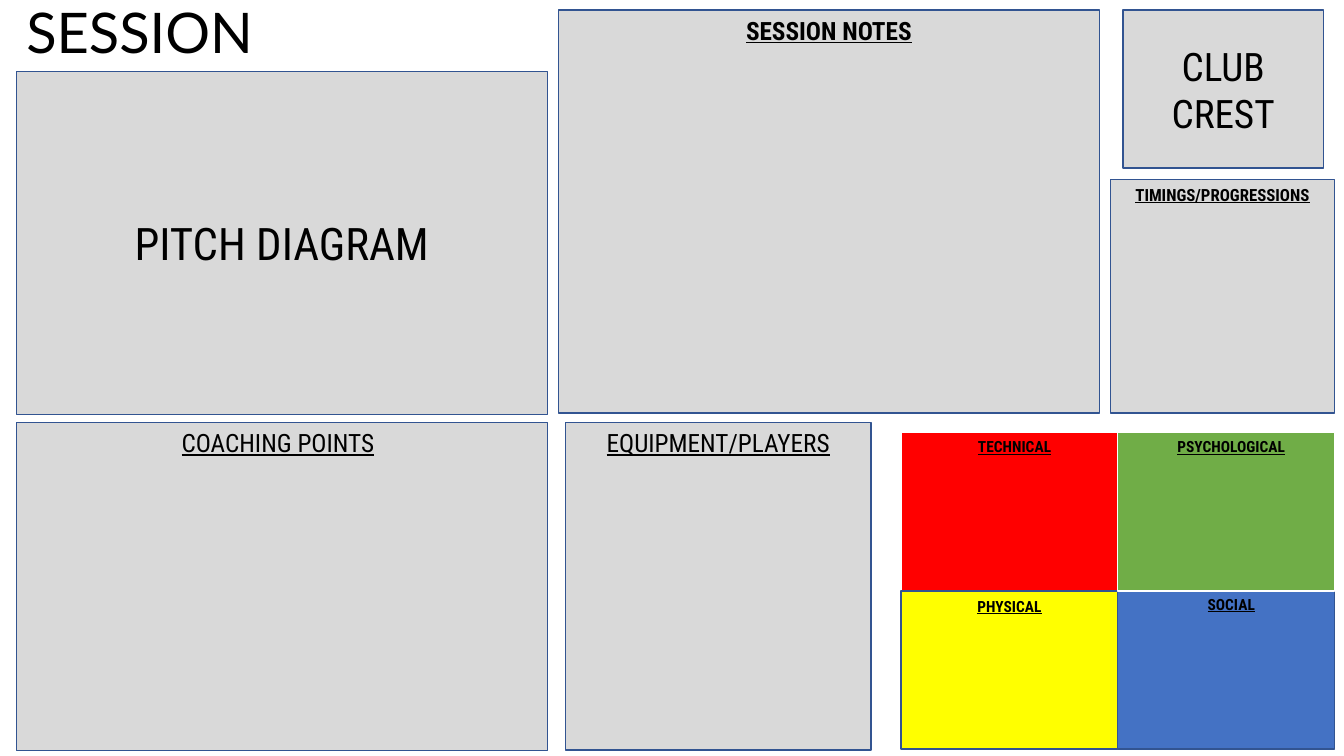
from dataclasses import dataclass

from pptx import Presentation
from pptx.dml.color import RGBColor
from pptx.enum.shapes import MSO_SHAPE as Kind
from pptx.enum.text import MSO_ANCHOR as Anchor, MSO_AUTO_SIZE as Fit, PP_ALIGN as Align
from pptx.slide import Slide
from pptx.text.text import TextFrame
from pptx.util import Cm, Pt

FACE = "Roboto Condensed"
GREY, NAVY, WHITE, BLACK = "D9D9D9", "325491", "FFFFFF", "000000"


@dataclass
class Panel:
    left: float
    top: float
    width: float
    height: float
    fill: str = GREY
    line: str = NAVY
    text: str = ""
    size: int = 18


@dataclass
class Label:
    text: str
    left: float
    top: float
    width: float
    height: float
    size: int = 11
    bold: bool = True


# Four corners grid
LEFT, TOP, WIDE, HIGH = 22.71, 10.9, 5.46, 3.99
CORNERS = [  # column, row, fill, line
    (0, 0, "FF0000", WHITE),
    (1, 1, "4472C4", NAVY),
    (0, 1, "FFFF00", NAVY),
    (1, 0, "70AD47", WHITE),
]

PANELS = [
    Panel(LEFT + col * WIDE, TOP + row * HIGH, WIDE, HIGH, fill, line)
    for col, row, fill, line in CORNERS
] + [
    Panel(14.07, 0.25, 13.64, 10.16),
    Panel(0.41, 10.64, 13.39, 8.28),
    Panel(14.25, 10.64, 7.7, 8.26),
    Panel(27.99, 4.52, 5.64, 5.89),
    Panel(0.41, 1.8, 13.39, 8.64, text="PITCH DIAGRAM", size=32),
    Panel(28.3, 0.25, 5.05, 3.99, text="CLUB CREST", size=28),
]

LABELS = [
    Label("SESSION NOTES", 14.07, 0.25, 13.64, 1.02, 18),
    Label("COACHING POINTS", 0.53, 10.64, 12.95, 1.8, 18, False),
    Label("EQUIPMENT/PLAYERS", 14.25, 10.64, 7.7, 1.8, 18, False),
    Label("TIMINGS/PROGRESSIONS", 27.99, 4.52, 5.64, 1.27, 12),
    Label("TECHNICAL", 22.71, 10.9, 5.72, 1.68),
    Label("PSYCHOLOGICAL", 28.17, 10.9, 5.72, 2.13),
    Label("PHYSICAL", 22.58, 14.91, 5.72, 2.13),
    Label("SOCIAL", 28.17, 14.86, 5.72, 2.13),
]


def color(code: str) -> RGBColor:
    return RGBColor.from_string(code)


def write(frame: TextFrame, text: str, size: int, face: str = FACE,
          align: Align = Align.CENTER, anchor: Anchor = Anchor.TOP,
          bold: bool = False, under: bool = False) -> None:
    frame.word_wrap = True
    frame.auto_size = Fit.NONE
    frame.vertical_anchor = anchor
    frame.text = text
    para = frame.paragraphs[0]
    para.alignment = align
    font = para.font
    font.name, font.size = face, Pt(size)
    font.bold, font.underline = bold, under
    font.color.rgb = color(BLACK)


def add_panel(slide: Slide, panel: Panel) -> None:
    shape = slide.shapes.add_shape(
        Kind.RECTANGLE, Cm(panel.left), Cm(panel.top), Cm(panel.width), Cm(panel.height))
    shape.shadow.inherit = False
    shape.fill.solid()
    shape.fill.fore_color.rgb = color(panel.fill)
    shape.line.color.rgb = color(panel.line)
    shape.line.width = Pt(1)
    if panel.text:
        write(shape.text_frame, panel.text, panel.size, anchor=Anchor.MIDDLE)


def add_label(slide: Slide, label: Label) -> None:
    box = slide.shapes.add_textbox(
        Cm(label.left), Cm(label.top), Cm(label.width), Cm(label.height))
    write(box.text_frame, label.text, label.size, bold=label.bold, under=True)


def main() -> None:
    deck = Presentation()
    deck.slide_width, deck.slide_height = Cm(33.87), Cm(19.05)
    slide = deck.slides.add_slide(deck.slide_layouts[5])

    # Title
    title = slide.shapes.title
    title.left, title.top = Cm(0.41), Cm(-0.18)
    title.width, title.height = Cm(8.76), Cm(1.96)
    write(title.text_frame, "SESSION", 40, face="Lato", align=Align.LEFT)

    # Panels, then their headings
    for panel in PANELS:
        add_panel(slide, panel)
    for label in LABELS:
        add_label(slide, label)

    deck.save("out.pptx")


if __name__ == "__main__":
    main()
